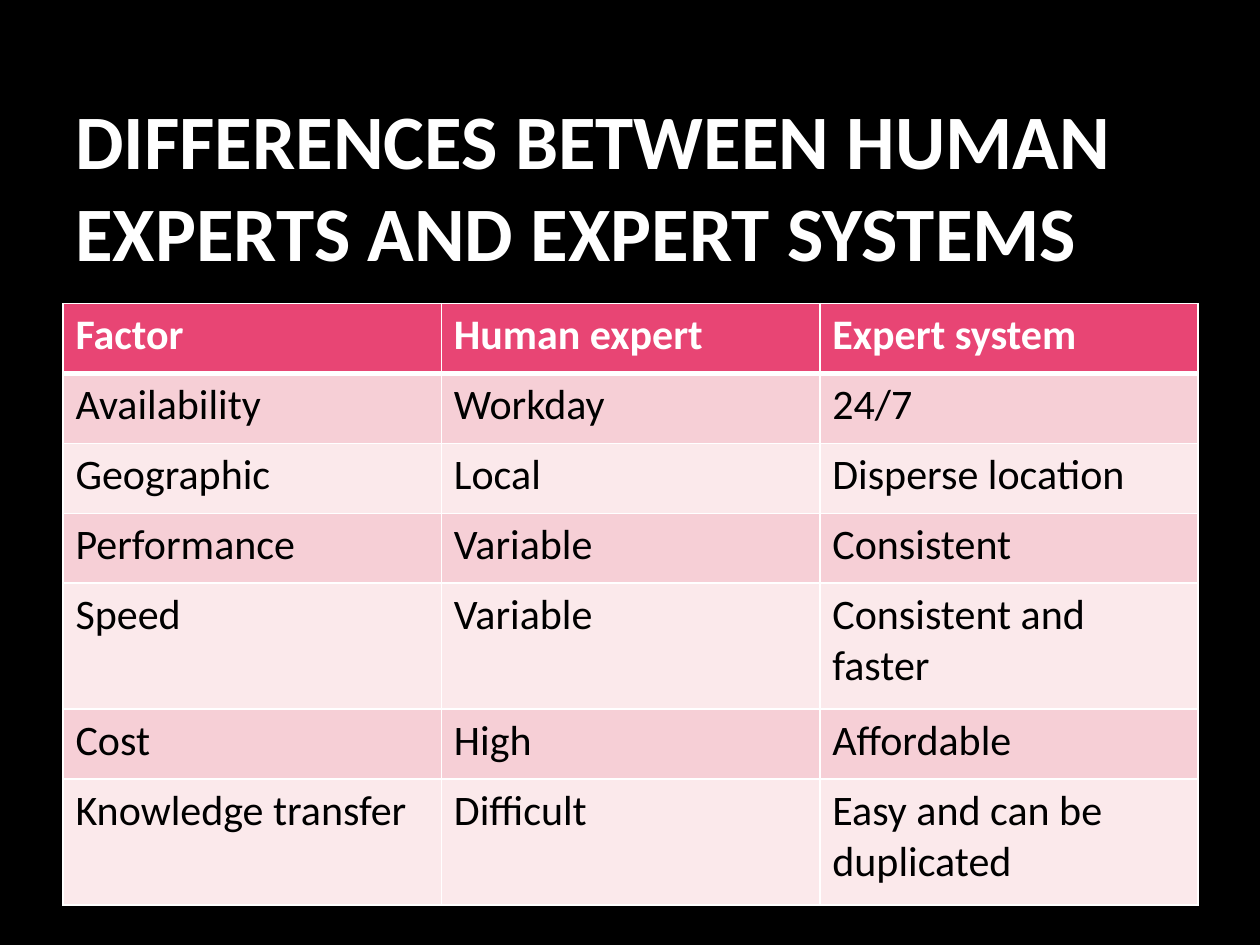
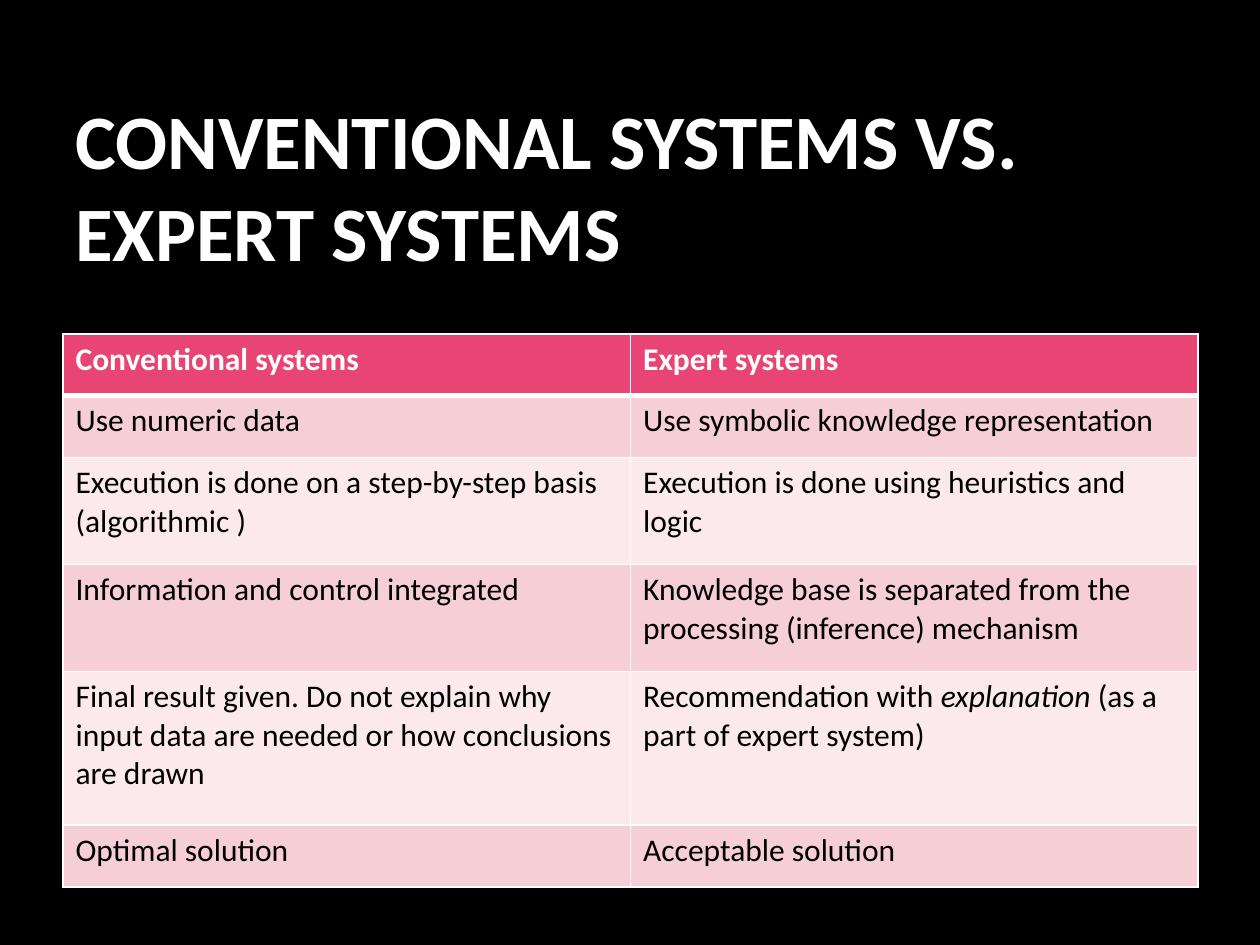
from lxml import etree
from pptx import Presentation
from pptx.dml.color import RGBColor
from pptx.enum import text
from pptx.oxml import ns
from pptx.util import Inches, Pt

BLACK = RGBColor(0x00, 0x00, 0x00)
WHITE = RGBColor(0xFF, 0xFF, 0xFF)
HEADER_PINK = RGBColor(0xE8, 0x45, 0x74)
BAND_PINKS = (RGBColor(0xFB, 0xE9, 0xEB), RGBColor(0xF6, 0xCF, 0xD6))

TITLE_STYLE = {"size": Pt(44), "name": "Calibri", "bold": True}
LEFT, TABLE_WIDTH = 0.5, 9.01
TITLE_TOP, TITLE_HEIGHT = 0.67, 1.59
RULE, HEADER_RULE = 1, 3  # points

EXPERT_ROWS = [
    ("Factor", "Human expert", "Expert system"),
    ("Availability", "Workday", "24/7"),
    ("Geographic", "Local", "Disperse location"),
    ("Performance", "Variable", "Consistent"),
    ("Speed", "Variable", "Consistent and faster"),
    ("Cost", "High", "Affordable"),
    ("Knowledge transfer", "Difficult", "Easy and can be duplicated"),
]

# Words between asterisks are set in italics
SYSTEM_ROWS = [
    ("Conventional systems", "Expert systems"),
    ("Use numeric data", "Use symbolic knowledge representation"),
    ("Execution is done on a step-by-step basis (algorithmic )",
     "Execution is done using heuristics and logic"),
    ("Information and control integrated",
     "Knowledge base is separated from the processing (inference) mechanism"),
    ("Final result given. Do not explain why input data are needed "
     "or how conclusions are drawn",
     "Recommendation with *explanation* (as a part of expert system)"),
    ("Optimal solution", "Acceptable solution"),
]


def add_run(paragraph, words, color, style):
    run = paragraph.add_run()
    run.text = words
    run.font.color.rgb = color
    for attribute, value in style.items():
        setattr(run.font, attribute, value)


def add_title(slide, words, width):
    box = slide.shapes.add_textbox(Inches(LEFT), Inches(TITLE_TOP),
                                   Inches(width), Inches(TITLE_HEIGHT))
    frame = box.text_frame
    frame.word_wrap = True
    frame.vertical_anchor = text.MSO_ANCHOR.MIDDLE
    add_run(frame.paragraphs[0], words, WHITE, TITLE_STYLE)


def set_borders(cell, widths):
    """Draw white rules; widths maps each side (L, R, T, B) to points."""
    properties = cell._tc.get_or_add_tcPr()
    for position, (side, points) in enumerate(widths.items()):
        line = etree.Element(ns.qn(f"a:ln{side}"), w=str(Pt(points)))
        fill = etree.SubElement(line, ns.qn("a:solidFill"))
        etree.SubElement(fill, ns.qn("a:srgbClr"), val=str(WHITE))
        properties.insert(position, line)


def fill_cell(cell, words, row, size):
    is_header = row == 0
    cell.fill.solid()
    cell.fill.fore_color.rgb = HEADER_PINK if is_header else BAND_PINKS[row % 2]
    set_borders(cell, {"L": RULE, "R": RULE,
                       "T": HEADER_RULE if row == 1 else RULE,
                       "B": HEADER_RULE if is_header else RULE})
    paragraph = cell.text_frame.paragraphs[0]
    for index, part in enumerate(words.split("*")):
        style = {"name": "Calibri", "size": Pt(size),
                 "bold": is_header, "italic": index % 2 == 1}
        add_run(paragraph, part, WHITE if is_header else BLACK, style)


def add_comparison(slide, rows, top, heights, size):
    columns = len(rows[0])
    table = slide.shapes.add_table(
        len(rows), columns, Inches(LEFT), Inches(top),
        Inches(TABLE_WIDTH), Inches(sum(heights))).table
    for column in table.columns:
        column.width = Inches(TABLE_WIDTH / columns)
    for r, (entries, height) in enumerate(zip(rows, heights)):
        table.rows[r].height = Inches(height)
        for c, words in enumerate(entries):
            fill_cell(table.cell(r, c), words, r, size)


def add_comparison_slide(deck, title, title_width, **comparison):
    slide = deck.slides.add_slide(deck.slide_layouts[6])
    slide.background.fill.solid()
    slide.background.fill.fore_color.rgb = BLACK
    add_title(slide, title, title_width)
    add_comparison(slide, **comparison)


def main():
    deck = Presentation()
    deck.slide_width, deck.slide_height = Inches(10), Inches(7.5)

    # Human experts against expert systems
    add_comparison_slide(
        deck, "DIFFERENCES BETWEEN HUMAN EXPERTS AND EXPERT SYSTEMS", 8.5,
        rows=EXPERT_ROWS, top=2.41, size=24,
        heights=[0.555] * 4 + [1, 0.555, 1])

    # Conventional systems against expert systems
    add_comparison_slide(
        deck, "CONVENTIONAL SYSTEMS VS. EXPERT SYSTEMS", 8.75,
        rows=SYSTEM_ROWS, top=2.65, size=18,
        heights=[0.49, 0.49, 0.85, 0.85, 1.22, 0.49])

    deck.save("out.pptx")


if __name__ == "__main__":
    main()
